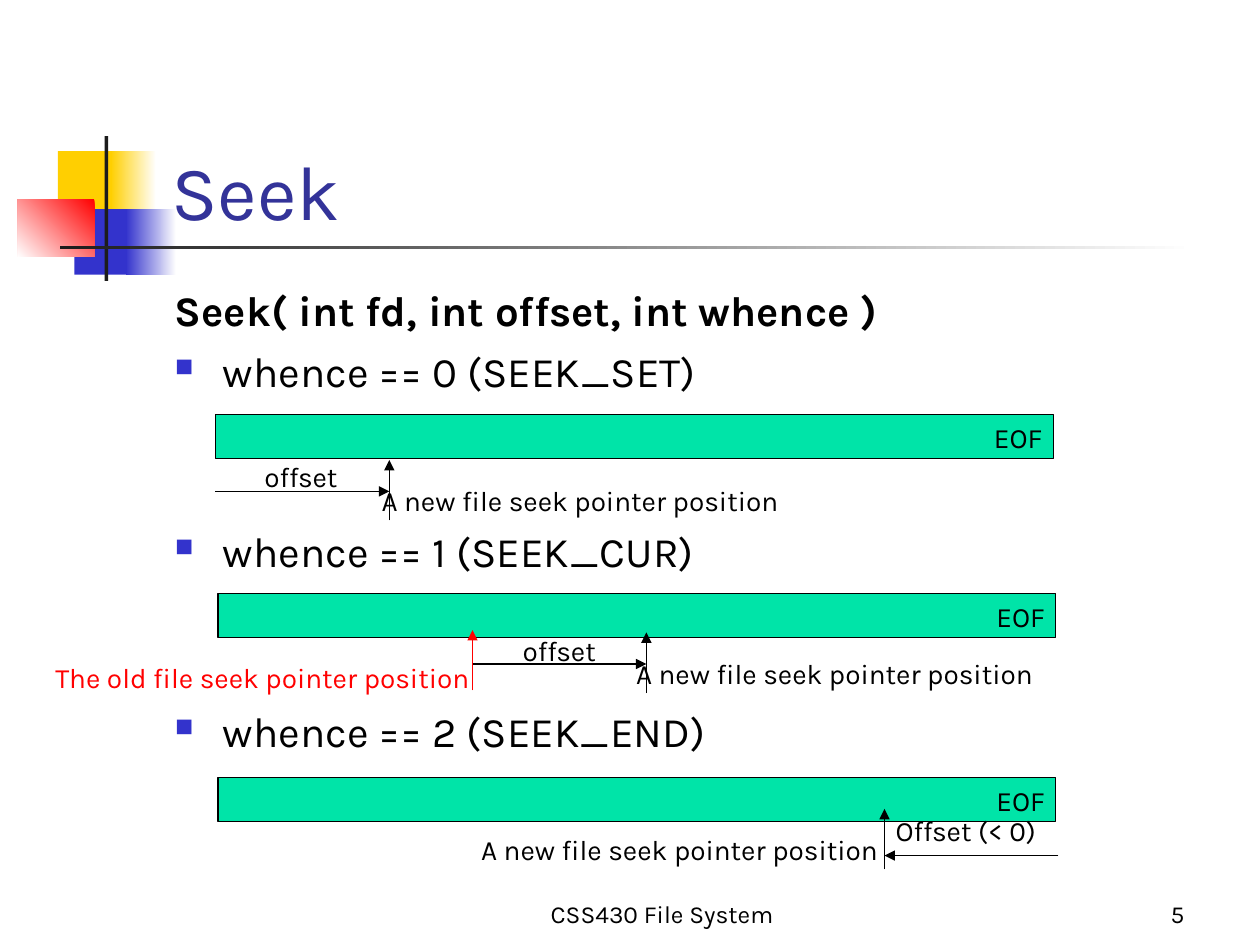
from dataclasses import dataclass

from lxml import etree
from pptx import Presentation
from pptx.dml.color import RGBColor
from pptx.enum.shapes import MSO_CONNECTOR as Connector, MSO_SHAPE as Shape
from pptx.enum.text import MSO_ANCHOR as Anchor, MSO_AUTO_SIZE as Fit, PP_ALIGN as Align
from pptx.oxml import parse_xml
from pptx.oxml.ns import nsdecls, qn
from pptx.util import Inches, Pt

COLORS = {
    "black": "000000",
    "white": "FFFFFF",
    "yellow": "FFCF01",
    "blue": "3333CC",
    "red": "FF0000",
    "ink": "1C1C1C",
    "title": "333399",
    "file": "00E4A8",
}
FONT = "Karla"
POINTER_RISE = 0.48
OFFSET_LENGTH = 1.38
LABEL_HEIGHT = 0.37


@dataclass
class Seek:
    """Layout of one seek diagram, measured from the corner of its file bar."""
    left: float
    top: float
    start: float
    end: float
    arrow_y: float
    pointer_y: float
    offset: tuple
    position: tuple


def color(name):
    """Return the named colour."""
    return RGBColor.from_string(COLORS[name])


def write(para, text, size=16, tint="black", bold=False, align=Align.LEFT, before=0):
    """Put formatted text into a paragraph."""
    para.alignment = align
    para.space_before = Pt(before)
    span = para.add_run()
    span.text = text
    span.font.name = FONT
    span.font.size = Pt(size)
    span.font.bold = bold
    span.font.color.rgb = color(tint)


def add_text(page, box, text, anchor=Anchor.TOP, wrap=True, **style):
    """Add a text box holding one paragraph and return its frame."""
    frame = page.shapes.add_textbox(*map(Inches, box)).text_frame
    frame.word_wrap = wrap
    frame.auto_size = Fit.NONE if wrap else Fit.SHAPE_TO_FIT_TEXT
    frame.vertical_anchor = anchor
    write(frame.paragraphs[0], text, **style)
    return frame


def add_label(page, left, top, width, text, tint="black"):
    """Add a single-line diagram label."""
    add_text(page, (left, top, width, LABEL_HEIGHT), text, wrap=False, tint=tint)


def add_rect(page, box, fill, fade=None, angle=180, outline=None):
    """Add a rectangle with a solid fill or a two-colour gradient."""
    rect = page.shapes.add_shape(Shape.RECTANGLE, *map(Inches, box))
    rect.shadow.inherit = False
    if fade:
        rect.fill.gradient()
        rect.fill.gradient_angle = angle
        for stop, name in zip(rect.fill.gradient_stops, (fill, fade)):
            stop.color.rgb = color(name)
    else:
        rect.fill.solid()
        rect.fill.fore_color.rgb = color(fill)
    if outline:
        rect.line.color.rgb = color(outline)
        rect.line.width = Pt(0.75)
    else:
        rect.line.fill.background()


def add_arrow(page, start, end, tint="black"):
    """Add a thin arrow pointing at its end."""
    arrow = page.shapes.add_connector(Connector.STRAIGHT, *map(Inches, start + end))
    arrow.line.color.rgb = color(tint)
    arrow.line.width = Pt(0.75)
    etree.SubElement(arrow.line._get_or_add_ln(), qn("a:tailEnd"), type="triangle")
    etree.SubElement(arrow._element.spPr, qn("a:effectLst"))


def add_pointer(page, x, bottom, tint="black"):
    """Add an upright arrow marking a seek pointer."""
    add_arrow(page, (x, bottom), (x, bottom - POINTER_RISE), tint)


def add_bullet(para):
    """Give a paragraph a hanging square bullet."""
    props = para._p.get_or_add_pPr()
    props.set("marL", str(Inches(0.38)))
    props.set("indent", str(Inches(-0.38)))
    for xml in (
        f'<a:buClr {nsdecls("a")}><a:srgbClr val="{COLORS["blue"]}"/></a:buClr>',
        f'<a:buSzPct {nsdecls("a")} val="60000"/>',
        f'<a:buChar {nsdecls("a")} char="■"/>',
    ):
        props.append(parse_xml(xml))


def add_ornament(page, left, top):
    """Add the coloured squares and the crossed rules beside the title."""
    add_rect(page, (left + 0.32, top + 0.12, 0.48, 0.52), "yellow")
    add_rect(page, (left + 0.74, top + 0.12, 0.36, 0.52), "white", "yellow")
    add_rect(page, (left + 0.45, top + 0.58, 0.46, 0.52), "blue")
    add_rect(page, (left + 0.86, top + 0.58, 0.4, 0.52), "white", "blue")
    add_rect(page, (left, top + 0.5, 0.61, 0.46), "red", "white", angle=225)
    add_rect(page, (left + 0.69, top, 0.03, 1.15), "ink")
    add_rect(page, (left + 0.34, top + 0.87, 9, 0.03), "white", "ink")


def add_body(page, box):
    """Add the call signature and the three whence cases."""
    frame = add_text(page, box, "Seek( int fd, int offset, int whence )", size=24, bold=True)
    for value, name in enumerate(("SET", "CUR", "END")):
        para = frame.add_paragraph()
        add_bullet(para)
        write(para, f"whence == {value} (SEEK_{name})", size=24, before=74 if value else 6)


def add_diagram(page, seek, offset_text="offset", offset_width=0.8):
    """Add a file bar with its offset arrow and new seek pointer."""
    left, top = seek.left, seek.top
    level = top + seek.arrow_y
    add_rect(page, (left, top, 6.65, 0.35), "file", outline="black")
    add_arrow(page, (left + seek.start, level), (left + seek.end, level))
    add_pointer(page, left + seek.end, top + seek.pointer_y)
    add_label(page, left + seek.offset[0], top + seek.offset[1], offset_width, offset_text)
    add_label(page, left + seek.position[0], top + seek.position[1], 3.46,
              "A new file seek pointer position")
    add_label(page, left + 6.08, top, 0.61, "EOF")


def add_old_pointer(page, left, top):
    """Add the red pointer and label of the old position."""
    add_pointer(page, left + 2.02, top + 0.77, "red")
    add_label(page, left - 1.39, top + 0.48, 3.59, "The old file seek pointer position", "red")


def add_footer(page, top):
    """Add the course name and the slide number."""
    add_text(page, (3.67, top, 3.17, 0.5), "CSS430 File System", Anchor.BOTTOM,
             size=14, align=Align.CENTER)
    add_text(page, (7.42, top, 2.08, 0.5), "5", Anchor.BOTTOM, size=14, align=Align.RIGHT)


def main():
    """Build the deck and save it."""
    deck = Presentation()
    deck.slide_width, deck.slide_height = Inches(10), Inches(7.5)
    page = deck.slides.add_slide(deck.slide_layouts[6])
    add_ornament(page, 0.14, 1.08)
    add_footer(page, 6.92)
    add_text(page, (1.26, 0.67, 8.52, 1.25), "Seek", Anchor.BOTTOM, size=44, tint="title")
    add_body(page, (1.29, 2.21, 8.5, 4.62))
    from_start = Seek(1.71, 3.29, 0, OFFSET_LENGTH, 0.61, 0.84, (0.29, 0.31), (1.22, 0.5))
    from_current = Seek(1.73, 4.71, 2.02, 2.02 + OFFSET_LENGTH, 0.56, 0.79,
                        (2.32, 0.27), (3.22, 0.45))
    from_end = Seek(1.73, 6.17, 6.67, 6.67 - OFFSET_LENGTH, 0.62, 0.73,
                    (5.28, 0.24), (1.99, 0.39))
    add_diagram(page, from_start)
    add_diagram(page, from_current)
    add_old_pointer(page, from_current.left, from_current.top)
    add_diagram(page, from_end, "Offset (< 0)", 1.34)
    deck.save("out.pptx")


if __name__ == "__main__":
    main()
